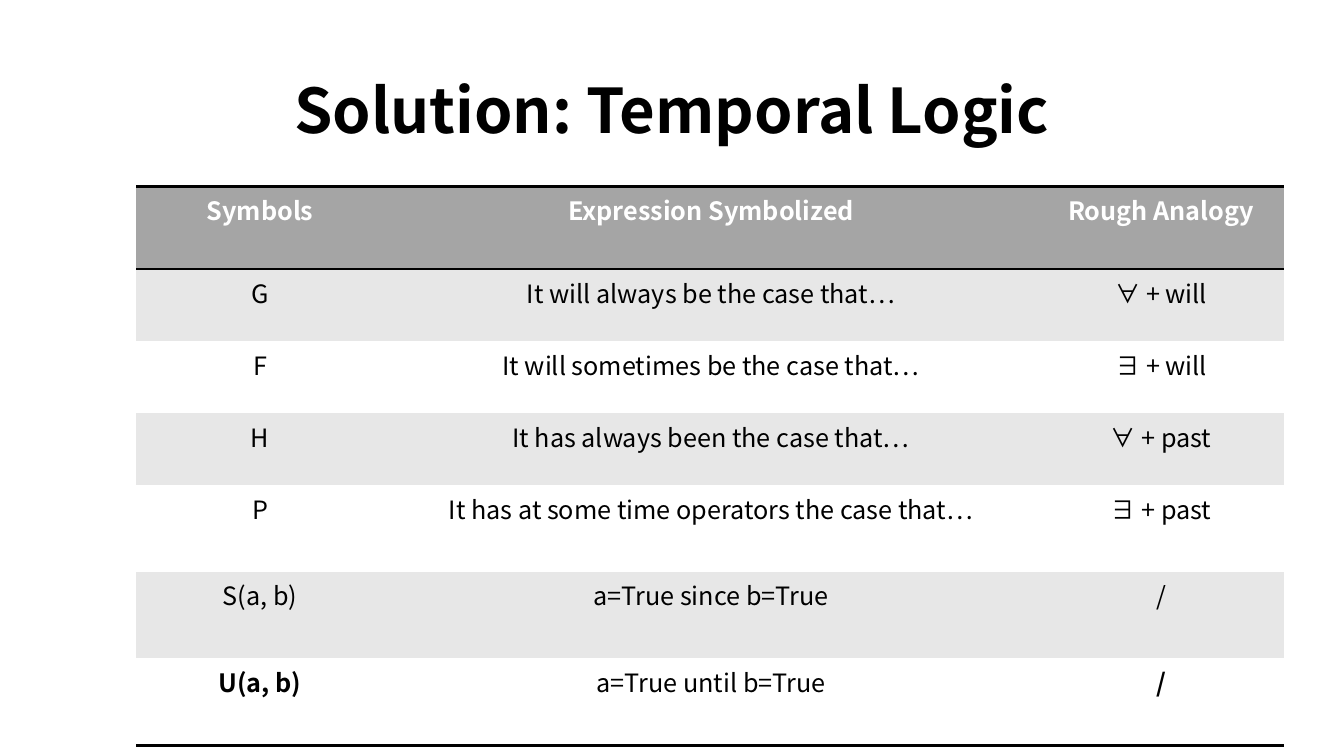
from dataclasses import dataclass

from lxml import etree
from pptx import Presentation
from pptx import util as u
from pptx.dml.color import RGBColor
from pptx.enum import text
from pptx.oxml import ns

FONT = "Noto Sans CJK SC"
COLORS = {"ink": "000000", "header": "A5A5A5", "band": "E7E7E7", "paper": "FFFFFF"}
NO_STYLE = "{2D5ABB26-0587-4C30-8999-92F81FD0307C}"
COLUMN_WIDTHS = (177.1, 467.3, 175.7)


@dataclass
class Row:
    cells: tuple[str, str, str]
    height: float
    fill: str = "paper"
    ink: str = "ink"
    bold: tuple[bool, bool, bool] = (False, False, False)
    borders: tuple[str, ...] = ()


ROWS = [
    Row(("Symbols", "Expression Symbolized", "Rough Analogy"), 59,
        "header", "paper", (True, True, True), ("lnT", "lnB")),
    Row(("G", "It will always be the case that…", "∀ + will"), 51.4, "band"),
    Row(("F", "It will sometimes be the case that…", "∃ + will"), 51.4),
    Row(("H", "It has always been the case that…", "∀ + past"), 51.4, "band"),
    Row(("P", "It has at some time operators the case that…", "∃ + past"), 62),
    Row(("S(a, b)", "a=True since b=True", "/"), 62, "band"),
    Row(("U(a, b)", "a=True until b=True", "/"), 62,
        bold=(True, False, True), borders=("lnB",)),
]


def add_run(para, words: str, size: float, color: str, bold: bool) -> None:
    para.alignment = text.PP_ALIGN.CENTER
    span = para.add_run()
    span.text = words
    span.font.name = FONT
    span.font.size = u.Pt(size)
    span.font.bold = bold
    span.font.color.rgb = RGBColor.from_string(COLORS[color])
    # East Asian and symbol characters use the same typeface
    for tag in ("a:ea", "a:sym"):
        face = etree.Element(ns.qn(tag), typeface=FONT)
        if tag == "a:ea":
            span.font._element.append(face)
        else:
            span.font._element.append(face)


def add_border(cell, position: int, side: str) -> None:
    line = etree.Element(ns.qn(f"a:{side}"), w=str(u.Pt(2)))
    fill = etree.SubElement(line, ns.qn("a:solidFill"))
    etree.SubElement(fill, ns.qn("a:srgbClr"), val=COLORS["ink"])
    cell._tc.get_or_add_tcPr().insert(position, line)


def add_title(page) -> None:
    box = page.shapes.title
    box.left, box.top, box.width, box.height = map(u.Pt, (66, 28.8, 828, 104.4))
    box.text_frame.vertical_anchor = text.MSO_ANCHOR.MIDDLE
    para = box.text_frame.paragraphs[0]
    para.line_spacing = 0.9
    add_run(para, "Solution: Temporal Logic", 44, "ink", True)


def add_logic_table(page) -> None:
    frame = page.shapes.add_table(
        len(ROWS), len(COLUMN_WIDTHS), u.Pt(97.2), u.Pt(133.2),
        u.Pt(sum(COLUMN_WIDTHS)), u.Pt(sum(row.height for row in ROWS)))
    table = frame.table
    table._tbl.tblPr.find(ns.qn("a:tableStyleId")).text = NO_STYLE
    for column, width in zip(table.columns, COLUMN_WIDTHS):
        column.width = u.Pt(width)
    for index, row in enumerate(ROWS):
        table.rows[index].height = u.Pt(row.height)
        for cell, words, bold in zip(table.rows[index].cells, row.cells, row.bold):
            cell.fill.solid()
            cell.fill.fore_color.rgb = RGBColor.from_string(COLORS[row.fill])
            for position, side in enumerate(row.borders):
                add_border(cell, position, side)
            add_run(cell.text_frame.paragraphs[0], words, 18, row.ink, bold)


def main() -> None:
    deck = Presentation()
    deck.slide_width, deck.slide_height = u.Pt(960), u.Pt(540)
    page = deck.slides.add_slide(deck.slide_layouts[5])
    # Title above the table of operators
    add_title(page)
    add_logic_table(page)
    deck.save("out.pptx")


if __name__ == "__main__":
    main()
